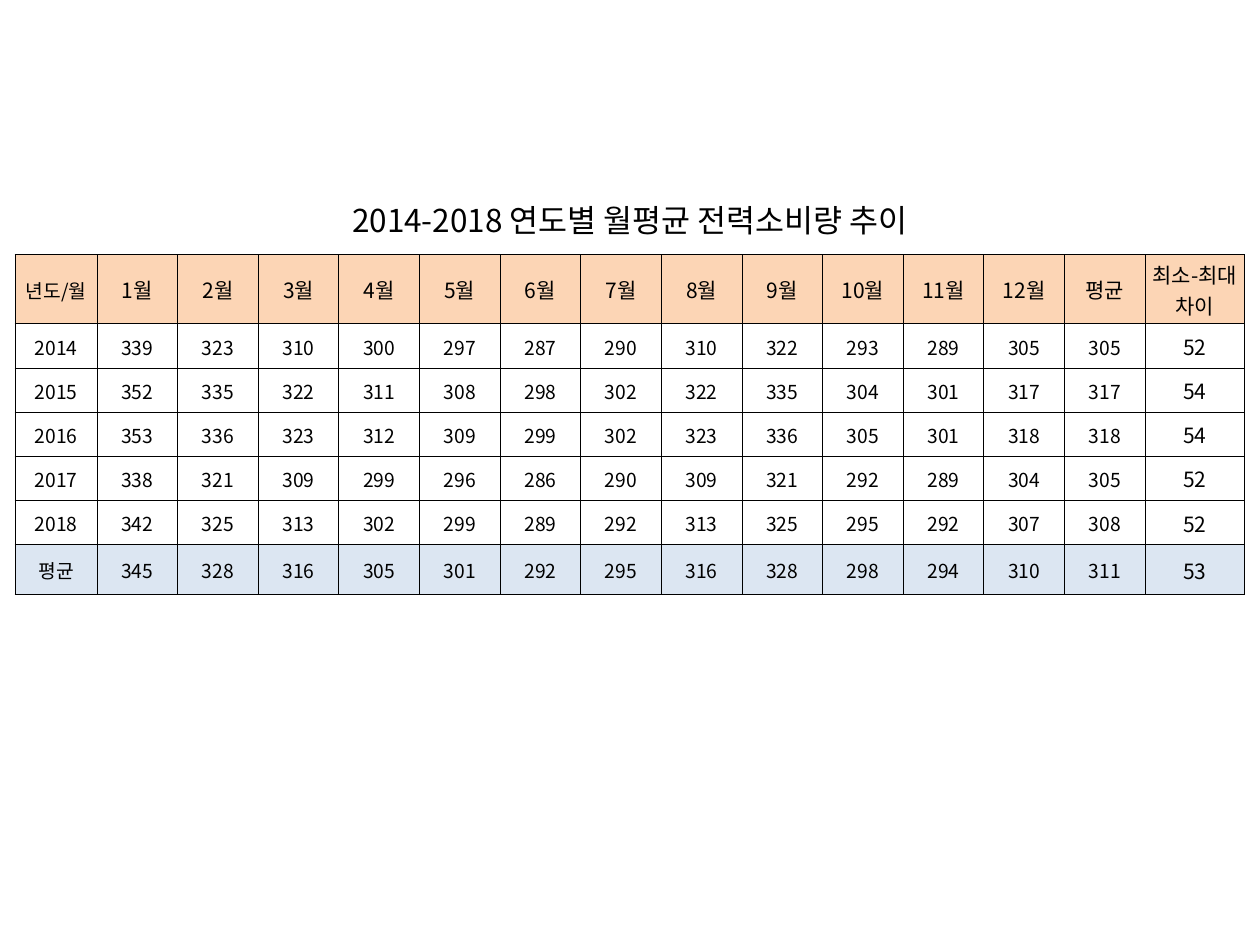
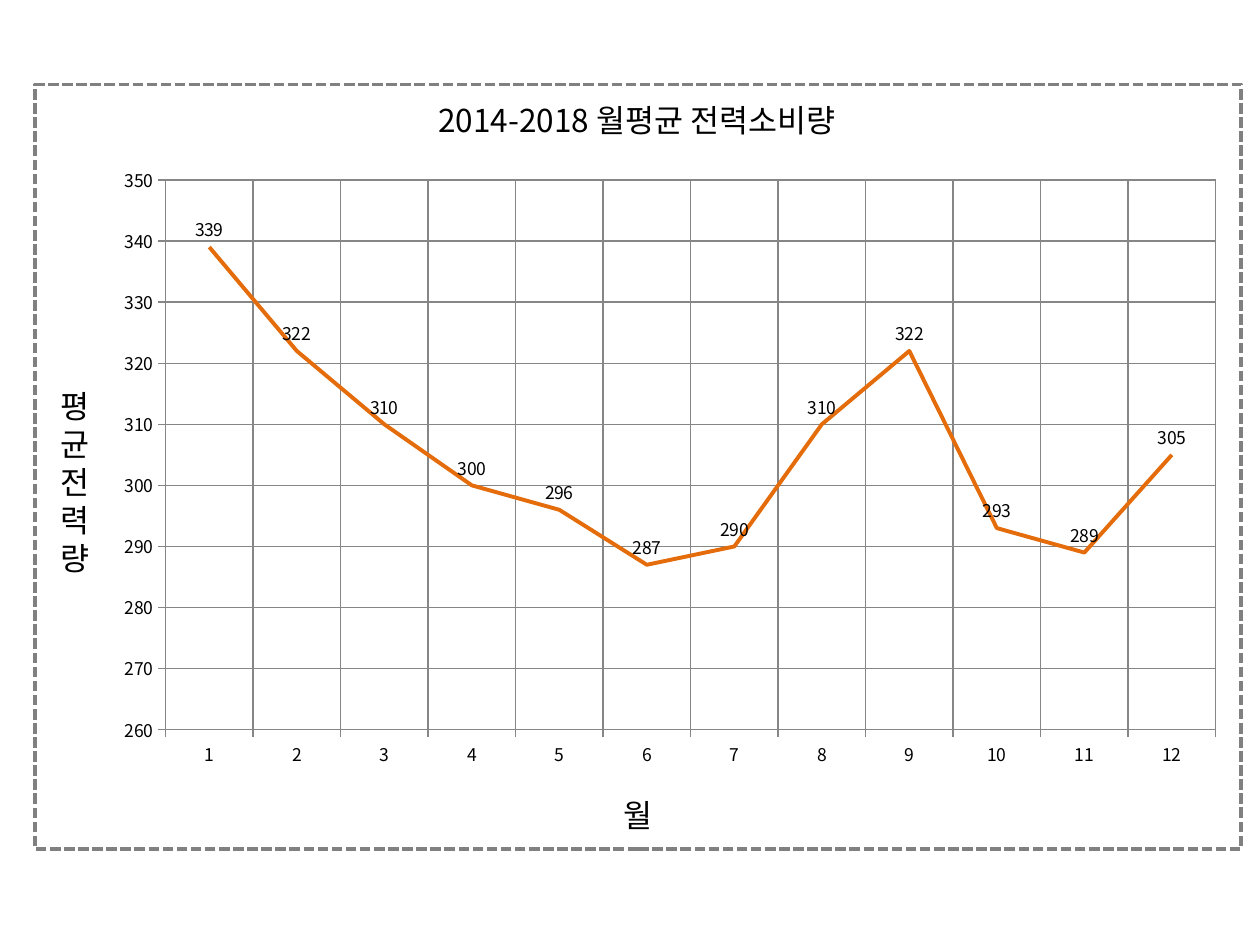
from dataclasses import dataclass

from lxml import etree
from pptx import Presentation
from pptx import util as u
from pptx.chart import data as cd
from pptx.dml import color as dc
from pptx.enum import chart as ec
from pptx.enum import dml, shapes, text
from pptx.oxml import ns

FONT = "Noto Sans CJK KR"
BLACK, GREY, GRID = "000000", "808080", "868686"
PEACH, BLUE, ORANGE = "FCD5B5", "DCE6F2", "E46C0A"
MONTHS = range(1, 13)
HEAD = ["년도/월", *(f"{m}월" for m in MONTHS), "평균", "최소-최대 차이"]
ROWS = [
    "2014 339 323 310 300 297 287 290 310 322 293 289 305 305 52",
    "2015 352 335 322 311 308 298 302 322 335 304 301 317 317 54",
    "2016 353 336 323 312 309 299 302 323 336 305 301 318 318 54",
    "2017 338 321 309 299 296 286 290 309 321 292 289 304 305 52",
    "2018 342 325 313 302 299 289 292 313 325 295 292 307 308 52",
    "평균 345 328 316 305 301 292 295 316 328 298 294 310 311 53",
]
WIDTHS = [0.65] + [0.64] * 13 + [0.79]
HEIGHTS = [0.55] + [0.35] * 5 + [0.4]
USAGE = [339, 322, 310, 300, 296, 287, 290, 310, 322, 293, 289, 305]


@dataclass(frozen=True)
class Box:
    """A place on the slide, in inches."""
    left: float
    top: float
    width: float
    height: float

    def lengths(self) -> tuple:
        """Return the four values as lengths."""
        return tuple(map(u.Inches, (self.left, self.top, self.width, self.height)))


@dataclass(frozen=True)
class Label:
    """An axis caption and its place."""
    words: str
    box: Box


LABELS = [
    Label("월", Box(2.04, 6.19, 6.05, 0.55)),
    Label("평\n균\n전\n력\n량", Box(0.28, 0.68, 0.63, 6.29)),
]


def rgb(code: str) -> dc.RGBColor:
    """Turn a hex string into a colour."""
    return dc.RGBColor.from_string(code)


def style(font, size: float, color: str = BLACK) -> None:
    """Set the size, colour and typeface of a font."""
    font.size, font.name = u.Pt(size), FONT
    font.color.rgb = rgb(color)


def write(frame, words: str, *, size: float = 18, color: str = BLACK,
          align=text.PP_ALIGN.CENTER) -> None:
    """Fill a text frame, one paragraph a line."""
    frame.word_wrap = True
    frame.text = words
    for para in frame.paragraphs:
        para.alignment = align
        for run in para.runs:
            style(run.font, size, color)


def add_east(root) -> None:
    """Repeat each Latin typeface for East Asian text."""
    for latin in list(root.iter(ns.qn("a:latin"))):
        east = etree.Element(ns.qn("a:ea"), typeface=latin.get("typeface"))
        latin.addnext(east)


def add_page(deck, words: str, box: Box):
    """Add a slide with its title in place."""
    page = deck.slides.add_slide(deck.slide_layouts[5])
    title = page.shapes.title
    title.left, title.top, title.width, title.height = box.lengths()
    write(title.text_frame, words)
    title.text_frame.vertical_anchor = text.MSO_ANCHOR.MIDDLE
    return page


def add_edges(root, color: str = BLACK, width: float = 0.5) -> None:
    """Draw all four borders of each cell."""
    for props in root.iter(ns.qn("a:tcPr")):
        for spot, side in enumerate("LRTB"):
            line = etree.Element(ns.qn(f"a:ln{side}"), w=str(u.Pt(width)))
            fill = etree.SubElement(line, ns.qn("a:solidFill"))
            etree.SubElement(fill, ns.qn("a:srgbClr"), val=color)
            props.insert(spot, line)


def add_grid(page, box: Box) -> None:
    """Add the table of years by months."""
    data = [HEAD, *(row.split() for row in ROWS)]
    last = len(HEAD) - 1
    fills = {0: PEACH, len(data) - 1: BLUE}
    holder = page.shapes.add_table(len(data), len(HEAD), *box.lengths())
    table = holder.table
    table.first_row = table.horz_banding = False
    for col, width in zip(table.columns, WIDTHS):
        col.width = u.Inches(width)
    for row, height in zip(table.rows, HEIGHTS):
        row.height = u.Inches(height)
    for r, line in enumerate(data):
        for c, words in enumerate(line):
            cell = table.cell(r, c)
            cell.margin_left = cell.margin_right = cell.margin_top = u.Inches(0.01)
            cell.margin_bottom = 0
            cell.vertical_anchor = text.MSO_ANCHOR.MIDDLE
            large = c == last or (r == 0 and c > 0)
            write(cell.text_frame, words, size=12 if large else 11)
            if r in fills:
                cell.fill.solid()
                cell.fill.fore_color.rgb = rgb(fills[r])
            else:
                cell.fill.background()
    add_edges(holder.element)


def add_frame(page, box: Box) -> None:
    """Add the dashed frame."""
    frame = page.shapes.add_shape(shapes.MSO_SHAPE.RECTANGLE, *box.lengths())
    frame.shadow.inherit = False
    frame.fill.background()
    frame.line.color.rgb = rgb(GREY)
    frame.line.width = u.Pt(2)
    frame.line.dash_style = dml.MSO_LINE.SQUARE_DOT


def add_label(page, label: Label) -> None:
    """Add one axis caption."""
    frame = page.shapes.add_textbox(*label.box.lengths()).text_frame
    write(frame, label.words)
    frame.vertical_anchor = text.MSO_ANCHOR.MIDDLE


def set_plot(chart, box: Box) -> None:
    """Fix the inner plot area, in shares of the chart."""
    area = chart.element.find(f".//{ns.qn('c:plotArea')}")
    for old in area.findall(ns.qn("c:layout")):
        area.remove(old)
    layout = etree.Element(ns.qn("c:layout"))
    area.insert(0, layout)
    manual = etree.SubElement(layout, ns.qn("c:manualLayout"))
    marks = {"layoutTarget": "inner", "xMode": "edge", "yMode": "edge",
             "x": box.left, "y": box.top, "w": box.width, "h": box.height}
    for name, value in marks.items():
        etree.SubElement(manual, ns.qn(f"c:{name}"), val=str(value))


def add_trend(page, box: Box) -> None:
    """Add the line chart of monthly usage."""
    data = cd.CategoryChartData(number_format="0")
    data.categories = [str(m) for m in MONTHS]
    data.add_series("Series 1", USAGE)
    chart = page.shapes.add_chart(ec.XL_CHART_TYPE.LINE, *box.lengths(), data).chart
    chart.has_legend = chart.has_title = False
    style(chart.font, 10)
    for axis in (chart.category_axis, chart.value_axis):
        axis.has_major_gridlines = True
        axis.major_tick_mark = ec.XL_TICK_MARK.OUTSIDE
        axis.minor_tick_mark = ec.XL_TICK_MARK.NONE
        for line in (axis.format.line, axis.major_gridlines.format.line):
            line.color.rgb = rgb(GRID)
            line.width = u.Pt(0.75)
    scale = chart.value_axis
    scale.minimum_scale, scale.maximum_scale, scale.major_unit = 260, 350, 10
    scale.tick_labels.number_format = "0"
    scale.tick_labels.number_format_is_linked = False
    plot = chart.plots[0]
    plot.vary_by_categories = False
    series = plot.series[0]
    series.smooth = False
    series.marker.style = ec.XL_MARKER_STYLE.NONE
    series.format.line.color.rgb = rgb(ORANGE)
    series.format.line.width = u.Pt(2.25)
    tags = series.data_labels
    tags.show_value = True
    tags.position = ec.XL_LABEL_POSITION.ABOVE
    tags.number_format, tags.number_format_is_linked = "0", False
    style(tags.font, 10)
    set_plot(chart, Box(0.06, 0.04, 0.92, 0.88))
    add_east(chart.element)


def main() -> None:
    """Build both slides and save them."""
    deck = Presentation()
    deck.slide_width, deck.slide_height = u.Inches(10), u.Inches(7.5)

    page = add_page(deck, "2014-2018 연도별 월평균 전력소비량 추이", Box(0.12, 1.47, 9.76, 0.55))
    add_grid(page, Box(0.12, 2.02, 9.76, 2.7))

    page = add_page(deck, "2014-2018 월평균 전력소비량", Box(2.03, 0.68, 6.05, 0.55))
    add_frame(page, Box(0.28, 0.67, 9.57, 6.07))
    for label in LABELS:
        add_label(page, label)
    add_trend(page, Box(0.77, 1.23, 9.06, 4.96))

    for page in deck.slides:
        add_east(page.element)
    deck.save("out.pptx")


if __name__ == "__main__":
    main()
